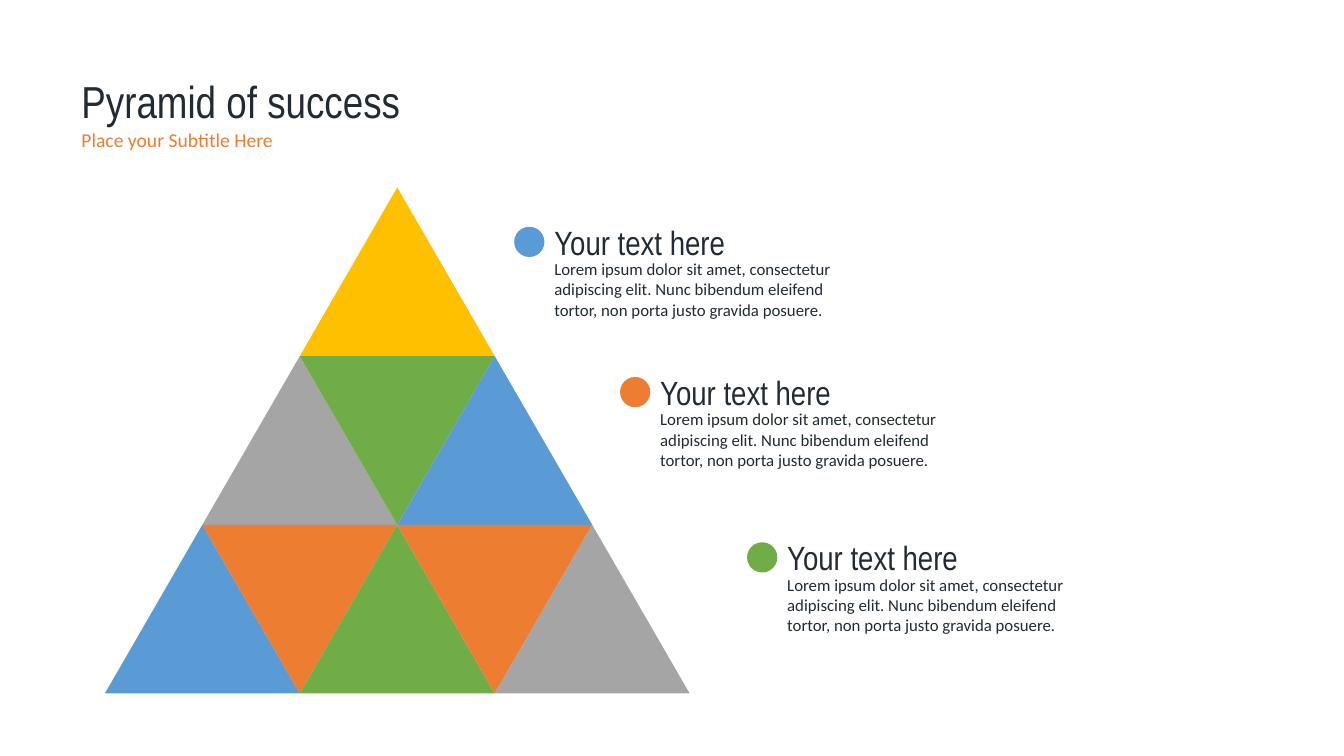
"""Build the Pyramid of success slide."""
import pptx
import pptx.dml.color
import pptx.enum.shapes
import pptx.enum.text
import pptx.util

Inches = pptx.util.Inches
RGBColor = pptx.dml.color.RGBColor

DARK = RGBColor(0x22, 0x2A, 0x35)
BLUE = RGBColor(0x5B, 0x9B, 0xD5)
ORANGE = RGBColor(0xED, 0x7D, 0x31)
GRAY = RGBColor(0xA5, 0xA5, 0xA5)
YELLOW = RGBColor(0xFF, 0xC0, 0x00)
GREEN = RGBColor(0x70, 0xAD, 0x47)

HEADING_FONT = "Arial Narrow"
BODY_FONT = "Calibri"

TITLE = "Pyramid of success"
SUBTITLE = "Place your Subtitle Here"
HEADING = "Your text here"
BODY = ("Lorem ipsum dolor sit amet, consectetur adipiscing elit. "
        "Nunc bibendum eleifend tortor, non porta justo gravida posuere.")

PYRAMID_ROWS = [
    [YELLOW],
    [GRAY, GREEN, BLUE],
    [BLUE, ORANGE, GREEN, ORANGE, GRAY],
]
CALLOUTS = [(5.1, 2.25, BLUE), (6.15, 3.74, ORANGE), (7.41, 5.38, GREEN)]

APEX_X, APEX_Y = 3.94, 1.86
BASE_LEFT, BASE_Y = 1.04, 6.88
ROW_HEIGHT = (BASE_Y - APEX_Y) / len(PYRAMID_ROWS)
HALF_WIDTH = (APEX_X - BASE_LEFT) / len(PYRAMID_ROWS)
DOT_SIZE = 0.3


def add_text(page, text, *, left, top, width, height, size, font, color):
    box = page.shapes.add_textbox(
        Inches(left), Inches(top), Inches(width), Inches(height))
    frame = box.text_frame
    frame.word_wrap = True
    frame.auto_size = pptx.enum.text.MSO_AUTO_SIZE.SHAPE_TO_FIT_TEXT
    span = frame.paragraphs[0].add_run()
    span.text = text
    span.font.size = pptx.util.Pt(size)
    span.font.name = font
    span.font.color.rgb = color


def paint(shape, color):
    shape.shadow.inherit = False
    shape.fill.solid()
    shape.fill.fore_color.rgb = color
    shape.line.fill.background()


def add_triangle(page, row, column, color):
    left = APEX_X + (column - row - 1) * HALF_WIDTH
    top = APEX_Y + row * ROW_HEIGHT
    bottom = top + ROW_HEIGHT
    tip, flat = (top, bottom) if column % 2 == 0 else (bottom, top)
    corners = [(left + HALF_WIDTH, tip), (left, flat),
               (left + 2 * HALF_WIDTH, flat)]
    points = [(Inches(x), Inches(y)) for x, y in corners]
    builder = page.shapes.build_freeform(*points[0])
    builder.add_line_segments(points[1:], close=True)
    paint(builder.convert_to_shape(), color)


def add_callout(page, left, top, color):
    text_left = left + DOT_SIZE
    add_text(page, BODY, left=text_left, top=top + 0.27, width=3.17,
             height=0.71, size=12, font=BODY_FONT, color=DARK)
    add_text(page, HEADING, left=text_left, top=top - 0.1, width=3.17,
             height=0.5, size=24, font=HEADING_FONT, color=DARK)
    dot = page.shapes.add_shape(
        pptx.enum.shapes.MSO_SHAPE.OVAL, Inches(left), Inches(top),
        Inches(DOT_SIZE), Inches(DOT_SIZE))
    paint(dot, color)


def main():
    deck = pptx.Presentation()
    deck.slide_width = Inches(13.33)
    deck.slide_height = Inches(7.5)
    page = deck.slides.add_slide(deck.slide_layouts[6])
    add_text(page, TITLE, left=0.71, top=0.68, width=10.86, height=0.64,
             size=32, font=HEADING_FONT, color=DARK)
    add_text(page, SUBTITLE, left=0.71, top=1.22, width=10.27, height=0.34,
             size=14, font=BODY_FONT, color=ORANGE)
    for row, colors in enumerate(PYRAMID_ROWS):
        for column, color in enumerate(colors):
            add_triangle(page, row, column, color)
    for left, top, color in CALLOUTS:
        add_callout(page, left, top, color)
    deck.save("out.pptx")


if __name__ == "__main__":
    main()
